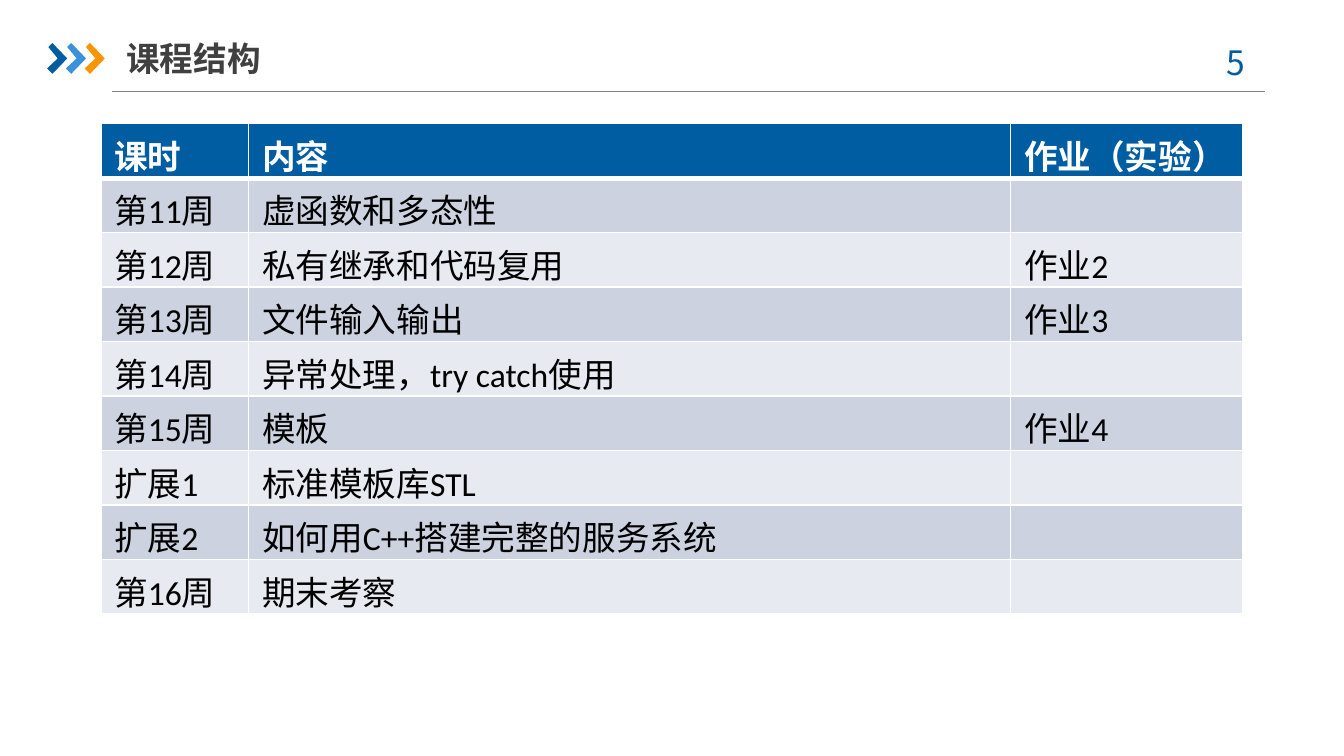
from dataclasses import dataclass

from lxml import etree
from pptx import Presentation
from pptx.dml.color import RGBColor
from pptx.enum import text
from pptx.oxml.ns import qn
from pptx.util import Inches, Pt


@dataclass(frozen=True)
class Theme:
    blue: str = "005DA2"
    chevrons: tuple = ("005DA2", "3992DB", "F79600")
    rule: str = "808080"
    title: str = "404040"
    white: str = "FFFFFF"
    black: str = "000000"
    bands: tuple = ("CCD2E0", "E7EAF0")
    heading_font: str = "Noto Sans CJK SC"
    table_font: str = "Calibri"
    size: int = 18


THEME = Theme()
COLUMNS = (1.1, 5.67, 1.73)
LESSONS = [
    ("课时", "内容", "作业（实验）"),
    ("第11周", "虚函数和多态性", ""),
    ("第12周", "私有继承和代码复用", "作业2"),
    ("第13周", "文件输入输出", "作业3"),
    ("第14周", "异常处理，try catch使用", ""),
    ("第15周", "模板", "作业4"),
    ("扩展1", "标准模板库STL", ""),
    ("扩展2", "如何用C++搭建完整的服务系统", ""),
    ("第16周", "期末考察", ""),
]


def apply(obj, formats):
    for name, value in formats.items():
        setattr(obj, name, value)


def paint(fill, color):
    fill.solid()
    fill.fore_color.rgb = RGBColor.from_string(color)


def write(tf, content, font, color, bold=False, align=text.PP_ALIGN.LEFT):
    p = tf.paragraphs[0]
    p.alignment = align
    r = p.add_run()
    r.text = content
    apply(r.font, {"size": Pt(THEME.size), "bold": bold, "name": font})
    r.font.color.rgb = RGBColor.from_string(color)
    # Chinese text takes its typeface from a:ea
    ea = etree.SubElement(r.font._element, qn("a:ea"))
    ea.set("typeface", font)


def add_chevrons(slide, x, y, width, height):
    """Three equal arrowheads spread over the box."""
    outline = [(0.01, 0.03), (0.04, 0), (0.15, 0.115),
               (0.04, 0.23), (0, 0.19), (0.08, 0.115)]
    step = (width - 0.15) / (len(THEME.chevrons) - 1)
    scale = height / 0.23
    for i, color in enumerate(THEME.chevrons):
        points = [(Inches(x + i * step + dx), Inches(y + dy * scale))
                  for dx, dy in outline]
        builder = slide.shapes.build_freeform(*points[0])
        builder.add_line_segments(points[1:], close=True)
        sp = builder.convert_to_shape()
        sp.shadow.inherit = False
        paint(sp.fill, color)
        sp.line.fill.background()


def add_header(slide, x, y, width, title, number):
    rule_y = Inches(y + 0.46)
    rule = slide.shapes.add_connector(
        1, Inches(x + 0.48), rule_y, Inches(x + width), rule_y)
    rule.line.width = Pt(0.75)
    rule.line.color.rgb = RGBColor.from_string(THEME.rule)
    etree.SubElement(rule._element.spPr, qn("a:effectLst"))

    add_chevrons(slide, x, y + 0.1, 0.43, 0.23)

    sp = slide.shapes.add_textbox(
        Inches(x + 8.51), Inches(y + 0.04), Inches(0.73), Inches(0.4))
    sp.text_frame.word_wrap = True
    write(sp.text_frame, number, THEME.heading_font, THEME.blue,
          align=text.PP_ALIGN.CENTER)

    sp = slide.shapes.title
    apply(sp, {"left": Inches(x + 0.59), "top": Inches(y),
               "width": Inches(2.33), "height": Inches(0.42)})
    apply(sp.text_frame, {
        "margin_left": 0, "margin_right": 0, "word_wrap": True,
        "margin_top": Inches(0.05), "margin_bottom": Inches(0.05),
        "auto_size": text.MSO_AUTO_SIZE.NONE,
        "vertical_anchor": text.MSO_ANCHOR.MIDDLE})
    write(sp.text_frame, title, THEME.heading_font, THEME.title, bold=True)


def set_borders(cell, widths):
    """Draw white edges; widths maps L, R, T and B to points."""
    tc_pr = cell._tc.get_or_add_tcPr()
    for i, (side, points) in enumerate(widths.items()):
        ln = etree.Element(qn(f"a:ln{side}"), w=str(Pt(points)))
        fill = etree.SubElement(ln, qn("a:solidFill"))
        etree.SubElement(fill, qn("a:srgbClr"), val=THEME.white)
        tc_pr.insert(i, ln)


def add_schedule(slide, x, y, width, height, rows):
    table = slide.shapes.add_table(
        len(rows), len(COLUMNS), Inches(x), Inches(y),
        Inches(width), Inches(height)).table
    for column, share in zip(table.columns, COLUMNS):
        column.width = Inches(width * share / sum(COLUMNS))
    for i, row in enumerate(rows):
        head = i == 0
        fill = THEME.blue if head else THEME.bands[(i - 1) % 2]
        color = THEME.white if head else THEME.black
        widths = {"L": 1, "R": 1, "T": 3 if i == 1 else 1, "B": 3 if head else 1}
        for j, content in enumerate(row):
            cell = table.cell(i, j)
            apply(cell, {"margin_top": Inches(0.1), "margin_bottom": 0})
            paint(cell.fill, fill)
            set_borders(cell, widths)
            if content:
                write(cell.text_frame, content, THEME.table_font, color, head)


def main():
    prs = Presentation()
    width = Inches(10)
    apply(prs, {"slide_width": width, "slide_height": width * 9 // 16})
    slide = prs.slides.add_slide(prs.slide_layouts[5])
    add_header(slide, 0.35, 0.22, 9.06, "课程结构", "5 ")
    add_schedule(slide, 0.75, 0.92, 8.5, 3.65, LESSONS)
    prs.save("out.pptx")


if __name__ == "__main__":
    main()
